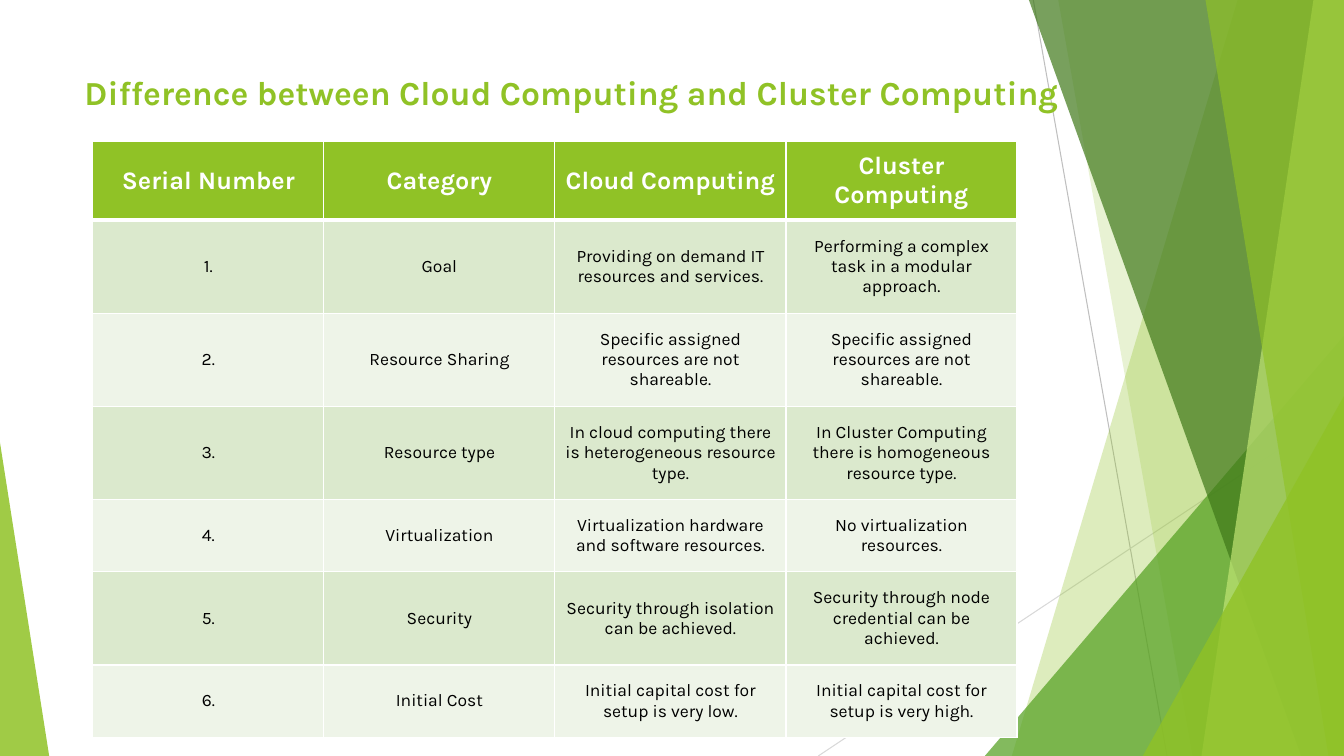
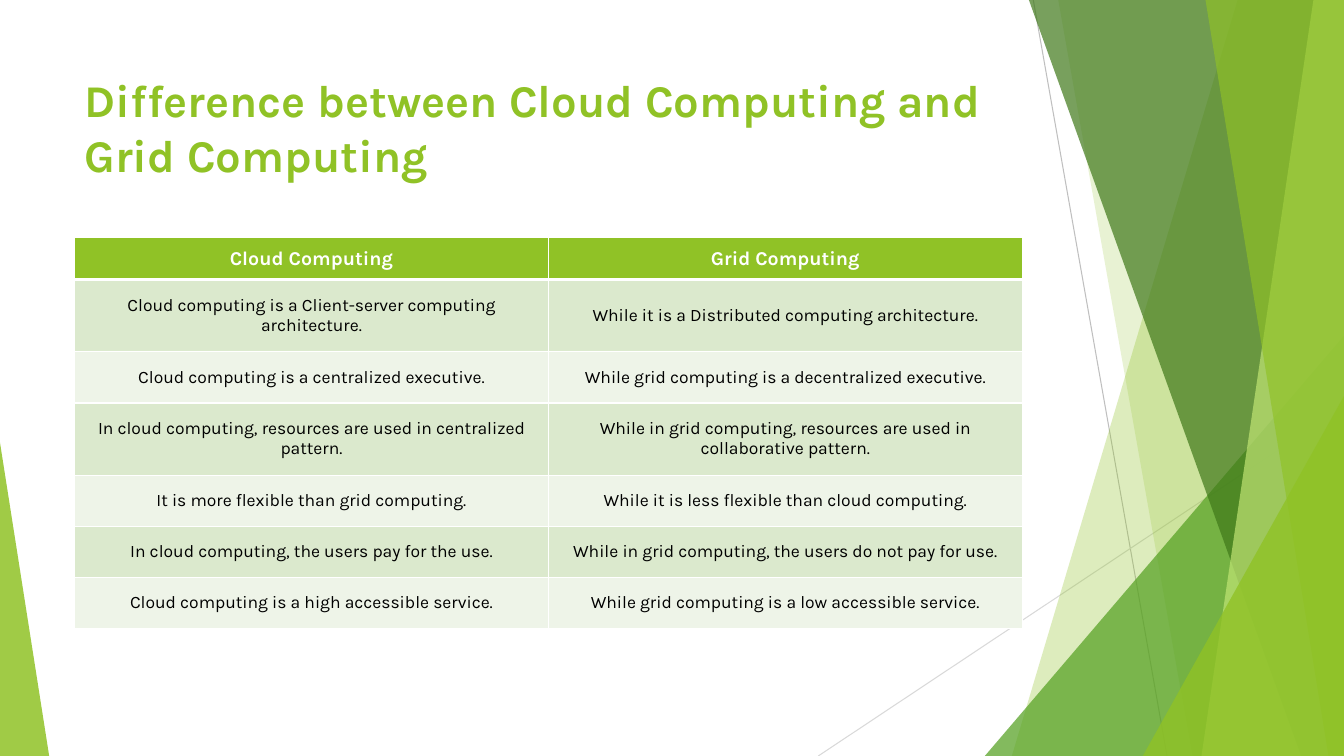
from dataclasses import dataclass

from lxml.etree import SubElement
from pptx import Presentation
from pptx.dml.color import RGBColor
from pptx.enum.shapes import MSO_CONNECTOR, MSO_SHAPE
from pptx.enum.text import MSO_ANCHOR, PP_ALIGN
from pptx.oxml import parse_xml
from pptx.oxml.ns import nsdecls, qn
from pptx.util import Cm, Pt

FONT = "Karla"
GREEN, LEAF, FOREST, LIME = "90C226", "54A021", "3F7819", "C0E474"
WHITE, BLACK = "FFFFFF", "000000"
BANDS = ("DBE9CD", "EEF4E8")
WIDTH, HEIGHT = 33.87, 19.05
BODY_SIZE = 12.5


@dataclass(frozen=True)
class Rule:
    start: tuple[float, float]
    end: tuple[float, float]
    color: str


@dataclass(frozen=True)
class Panel:
    """A full-height panel with a slanted left side, running to the right edge."""
    top_left: float
    bottom_left: float
    color: str
    opacity: int


@dataclass(frozen=True)
class Wedge:
    """A right triangle standing on the bottom edge; apex 0 is left, 1 is right."""
    left: float
    width: float
    height: float
    apex: int
    color: str
    opacity: int


@dataclass(frozen=True)
class Comparison:
    title: str
    title_size: float
    title_width: float
    title_height: float
    left: float
    top: float
    width: float
    header_size: float
    row_heights: tuple[float, ...]
    rows: tuple[tuple[str, ...], ...]


RULES = (
    Rule((26.04, 0), (29.41, HEIGHT), "BFBFBF"),
    Rule((WIDTH, 10.24), (20.62, HEIGHT), "D9D9D9"),
)
FACETS = (
    Panel(31.19, 25.5, GREEN, 30),
    Panel(26.67, 30.05, GREEN, 20),
    Wedge(24.82, 9.05, 10.59, 1, LEAF, 72),
    Panel(25.93, 32.79, FOREST, 70),
    Panel(33.1, 30.28, LIME, 70),
    Panel(30.38, 33.48, GREEN, 65),
    Wedge(28.8, 5.07, 9.07, 1, GREEN, 80),
    Wedge(0, 1.24, 7.9, 0, GREEN, 85),
)
COMPARISONS = (
    Comparison(
        "Difference between Cloud Computing and Cluster Computing",
        24, 25.3, 2.41, 2.34, 3.56, 23.29, 18,
        (1.95, 2.27, 2.27, 2.27, 1.76, 2.27, 1.76),
        (
            ("Serial Number", "Category", "Cloud Computing", "Cluster Computing"),
            ("1.", "Goal", "Providing on demand IT resources and services.",
             "Performing a complex task in a modular approach."),
            ("2.", "Resource Sharing", "Specific assigned resources are not shareable.",
             "Specific assigned resources are not shareable."),
            ("3.", "Resource type", "In cloud computing there is heterogeneous resource type.",
             "In Cluster Computing there is homogeneous resource type."),
            ("4.", "Virtualization", "Virtualization hardware and software resources.",
             "No virtualization resources."),
            ("5.", "Security", "Security through isolation can be achieved.",
             "Security through node credential can be achieved."),
            ("6.", "Initial Cost", "Initial capital cost for setup is very low.",
             "Initial capital cost for setup is very high."),
        ),
    ),
    Comparison(
        "Difference between Cloud Computing and Grid Computing",
        32.4, 23.88, 3.3, 1.88, 5.99, 23.88, 14,
        (1.04, 1.76, 1.25, 1.76, 1.25, 1.25, 1.25),
        (
            ("Cloud Computing", "Grid Computing"),
            ("Cloud computing is a Client-server computing architecture.",
             "While it is a Distributed computing architecture."),
            ("Cloud computing is a centralized executive.",
             "While grid computing is a decentralized executive."),
            ("In cloud computing, resources are used in centralized pattern.",
             "While in grid computing, resources are used in collaborative pattern."),
            ("It is more flexible than grid computing.",
             "While it is less flexible than cloud computing."),
            ("In cloud computing, the users pay for the use.",
             "While in grid computing, the users do not pay for use."),
            ("Cloud computing is a high accessible service.",
             "While grid computing is a low accessible service."),
        ),
    ),
)


def rgb(color: str) -> RGBColor:
    return RGBColor.from_string(color)


def add_span(para, text: str, size: float, color: str, bold: bool) -> None:
    span = para.add_run()
    span.text = text
    span.font.name = FONT
    span.font.size = Pt(size)
    span.font.bold = bold
    span.font.color.rgb = rgb(color)


def draw_rule(page, rule: Rule) -> None:
    line = page.shapes.add_connector(
        MSO_CONNECTOR.STRAIGHT, *map(Cm, rule.start), *map(Cm, rule.end))
    line.line.color.rgb = rgb(rule.color)
    line.line.width = Pt(0.75)
    SubElement(line.element.spPr, qn("a:effectLst"))


def draw_facet(page, facet: Panel | Wedge) -> None:
    if isinstance(facet, Panel):
        outline = page.shapes.build_freeform(Cm(facet.top_left), 0)
        corners = ((WIDTH, 0), (WIDTH, HEIGHT), (facet.bottom_left, HEIGHT))
        outline.add_line_segments([(Cm(x), Cm(y)) for x, y in corners], close=True)
        shape = outline.convert_to_shape()
    else:
        shape = page.shapes.add_shape(
            MSO_SHAPE.ISOSCELES_TRIANGLE, Cm(facet.left), Cm(HEIGHT - facet.height),
            Cm(facet.width), Cm(facet.height))
        shape.adjustments[0] = facet.apex
    shape.shadow.inherit = False
    shape.line.fill.background()
    shape.fill.solid()
    shape.fill.fore_color.rgb = rgb(facet.color)
    fill_color = next(shape.element.spPr.iter(qn("a:srgbClr")))
    SubElement(fill_color, qn("a:alpha"), val=str(facet.opacity * 1000))


def draw_title(page, item: Comparison) -> None:
    box = page.shapes.add_textbox(
        Cm(1.88), Cm(1.7), Cm(item.title_width), Cm(item.title_height))
    box.text_frame.word_wrap = True
    add_span(box.text_frame.paragraphs[0], item.title, item.title_size, GREEN, True)


def set_borders(cell, top: float, bottom: float) -> None:
    """Draw white borders; widths are in points, sides are 1 pt."""
    properties = cell._tc.get_or_add_tcPr()
    widths = {"lnL": 1, "lnR": 1, "lnT": top, "lnB": bottom}
    for index, (side, width) in enumerate(widths.items()):
        properties.insert(index, parse_xml(
            f'<a:{side} {nsdecls("a")} w="{Pt(width)}"><a:solidFill>'
            f'<a:srgbClr val="{WHITE}"/></a:solidFill></a:{side}>'))


def fill_cell(cell, text: str, row: int, header_size: float) -> None:
    header = row == 0
    cell.vertical_anchor = MSO_ANCHOR.MIDDLE
    cell.margin_left = cell.margin_right = Cm(0.22 if header else 0.25)
    cell.margin_top = cell.margin_bottom = Cm(0.23 if header else 0.38)
    cell.fill.solid()
    cell.fill.fore_color.rgb = rgb(GREEN if header else BANDS[(row - 1) % 2])
    set_borders(cell, top=3 if row == 1 else 1, bottom=3 if header else 1)
    para = cell.text_frame.paragraphs[0]
    para.alignment = PP_ALIGN.CENTER
    add_span(para, text, header_size if header else BODY_SIZE,
             WHITE if header else BLACK, header)


def draw_table(page, item: Comparison) -> None:
    column_count = len(item.rows[0])
    table = page.shapes.add_table(
        len(item.rows), column_count, Cm(item.left), Cm(item.top),
        Cm(item.width), Cm(sum(item.row_heights))).table
    table.horz_banding = False
    for column in table.columns:
        column.width = Cm(item.width / column_count)
    for row, (texts, height) in enumerate(zip(item.rows, item.row_heights)):
        table.rows[row].height = Cm(height)
        for column, text in enumerate(texts):
            fill_cell(table.cell(row, column), text, row, item.header_size)


def main() -> None:
    deck = Presentation()
    deck.slide_width, deck.slide_height = Cm(WIDTH), Cm(HEIGHT)
    for item in COMPARISONS:
        page = deck.slides.add_slide(deck.slide_layouts[6])
        for rule in RULES:
            draw_rule(page, rule)
        for facet in FACETS:
            draw_facet(page, facet)
        draw_title(page, item)
        draw_table(page, item)
    deck.save("out.pptx")


if __name__ == "__main__":
    main()
